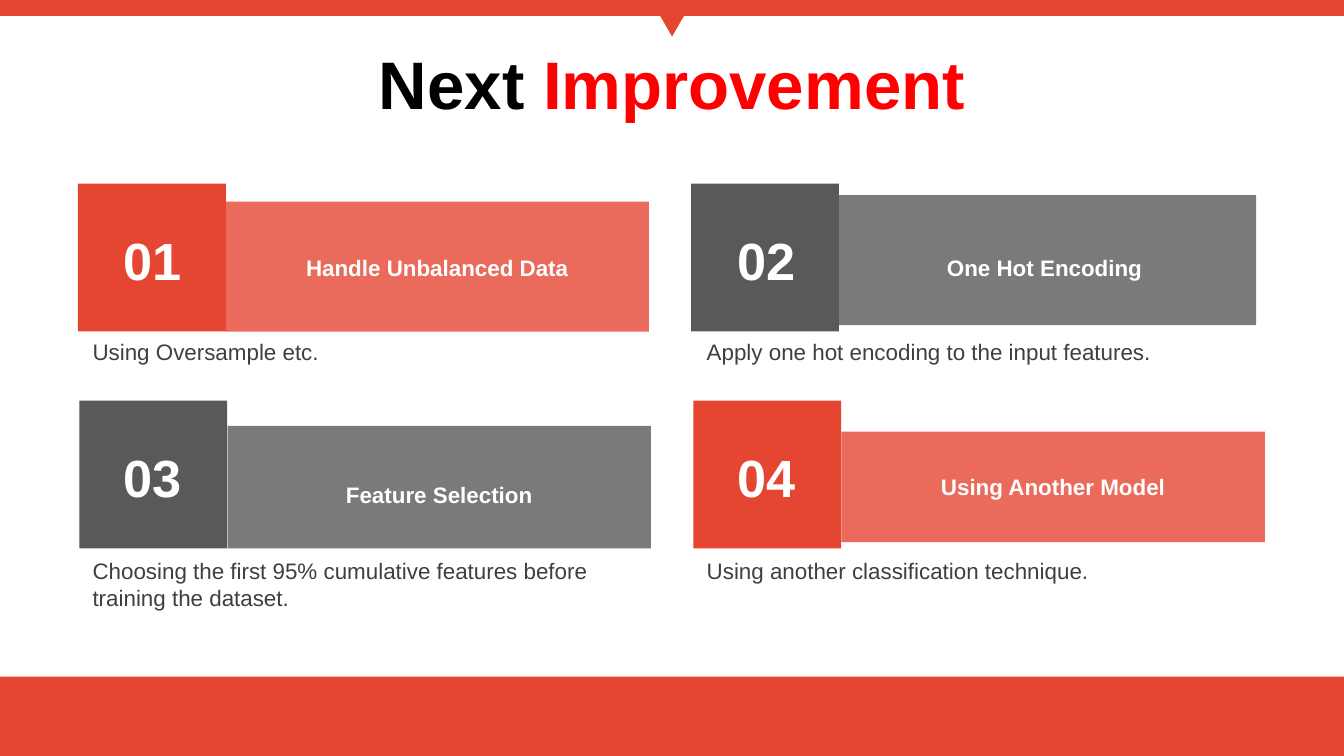
from dataclasses import dataclass

from lxml import etree
from pptx import Presentation
from pptx.dml.color import RGBColor
from pptx.enum.shapes import MSO_SHAPE
from pptx.enum.text import MSO_ANCHOR, PP_ALIGN
from pptx.oxml.ns import qn
from pptx.util import Pt

RECTANGLE = MSO_SHAPE.RECTANGLE
TRIANGLE = MSO_SHAPE.ISOSCELES_TRIANGLE
LEFT, CENTER = PP_ALIGN.LEFT, PP_ALIGN.CENTER
TOP, MIDDLE = MSO_ANCHOR.TOP, MSO_ANCHOR.MIDDLE


@dataclass(frozen=True)
class Theme:
    """Colours, font and type sizes of the slide."""
    red: str = "E54632"
    gray: str = "595959"
    black: str = "000000"
    accent: str = "FF0000"
    body: str = "3F3F3F"
    white: str = "FFFFFF"
    font: str = "Arial"
    title_size: int = 36
    number_size: int = 28
    text_size: int = 12


theme = Theme()
presentation = Presentation()
presentation.slide_width, presentation.slide_height = Pt(720), Pt(405)
slide = presentation.slides.add_slide(presentation.slide_layouts[6])


def add_block(box, color, kind=RECTANGLE, opacity=100):
    """Add a flat filled shape; box is left, top, width, height in points."""
    shape = slide.shapes.add_shape(kind, *map(Pt, box))
    shape.shadow.inherit = False
    shape.line.fill.background()
    shape.fill.solid()
    shape.fill.fore_color.rgb = RGBColor.from_string(color)
    if opacity < 100:
        fill_color = shape.fill._xPr.find(f".//{qn('a:srgbClr')}")
        etree.SubElement(fill_color, qn("a:alpha"), val=str(opacity * 1000))
    return shape


def add_text(box, parts, size, bold=False, align=LEFT, anchor=TOP, wrap=True):
    """Add a one-paragraph text box; parts are (text, colour) pairs."""
    frame = slide.shapes.add_textbox(*map(Pt, box)).text_frame
    frame.word_wrap = wrap
    frame.vertical_anchor = anchor
    paragraph = frame.paragraphs[0]
    paragraph.alignment = align
    for text, color in parts:
        run = paragraph.add_run()
        run.text = text
        run.font.name = theme.font
        run.font.size = Pt(size)
        run.font.bold = bold
        run.font.color.rgb = RGBColor.from_string(color)


# Frame and title
add_block((0, 362.5, 720, 42.5), theme.red)
add_block((0, 0, 720, 8.5), theme.red)
pointer = add_block((348.7, 0, 22.6, 19.6), theme.red, TRIANGLE)
pointer.rotation = 180
add_text((0, 9.4, 720, 69.8),
         [("Next ", theme.black), ("Improvement", theme.accent)],
         theme.title_size, bold=True, align=CENTER, anchor=MIDDLE)

# Four numbered cards, two per row
SQUARE, BAR_WIDTH, LABEL_INSET = 79.2, 226.8, 15.85
column_lefts = (42.5, 371.5)
row_tops = (98.4, 214.7)
body_tops = (177.8, 295.2)

# label, body, colour, square left, bar (left, top, height), label top
cards = [
    ("Handle Unbalanced Data", "Using Oversample etc.",
     theme.red, 41.8, (120.9, 108, 69.7), 132.5),
    ("One Hot Encoding", "Apply one hot encoding to the input features.",
     theme.gray, 370.3, (446.2, 104.5, 69.7), 132.5),
    ("Feature Selection",
     "Choosing the first 95% cumulative features before training the dataset.",
     theme.gray, 42.5, (121.9, 228.2, 65.7), 254.4),
    ("Using Another Model", "Using another classification technique.",
     theme.red, 371.5, (450.8, 231.3, 59.2), 250),
]

for index, (label, body, color, square_left, bar, label_top) in enumerate(cards):
    row, column = divmod(index, 2)
    left, top = column_lefts[column], row_tops[row]
    bar_left, bar_top, bar_height = bar
    add_block((square_left, top, SQUARE, SQUARE), color)
    add_block((bar_left, bar_top, BAR_WIDTH, bar_height), color, opacity=80)
    add_text((left + 16.5, top + 20.2, 46, 41),
             [(f"{index + 1:02d}", theme.white)],
             theme.number_size, bold=True, wrap=False)
    add_text((bar_left + LABEL_INSET, label_top, BAR_WIDTH - 2 * LABEL_INSET, 21.6),
             [(label, theme.white)], theme.text_size, bold=True, align=CENTER)
    add_text((left, body_tops[row], 306, 36),
             [(body, theme.body)], theme.text_size)

presentation.save("out.pptx")
